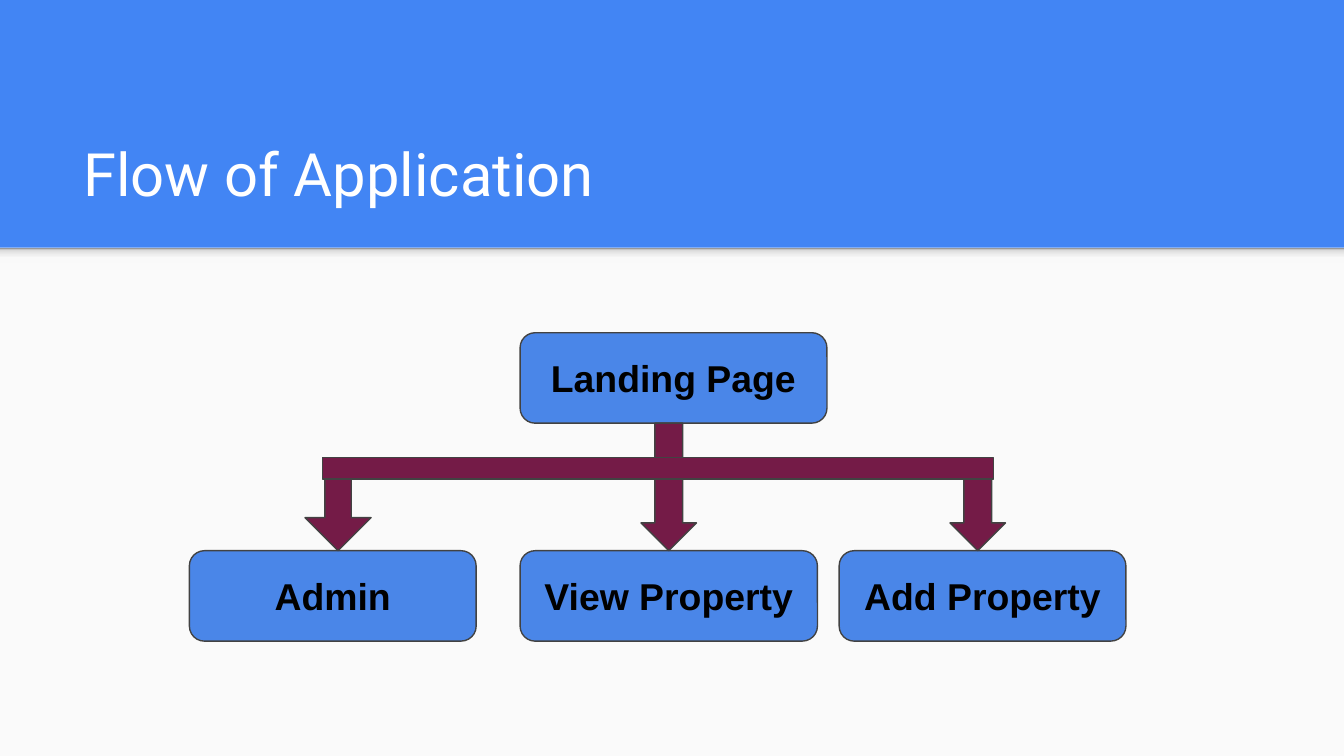
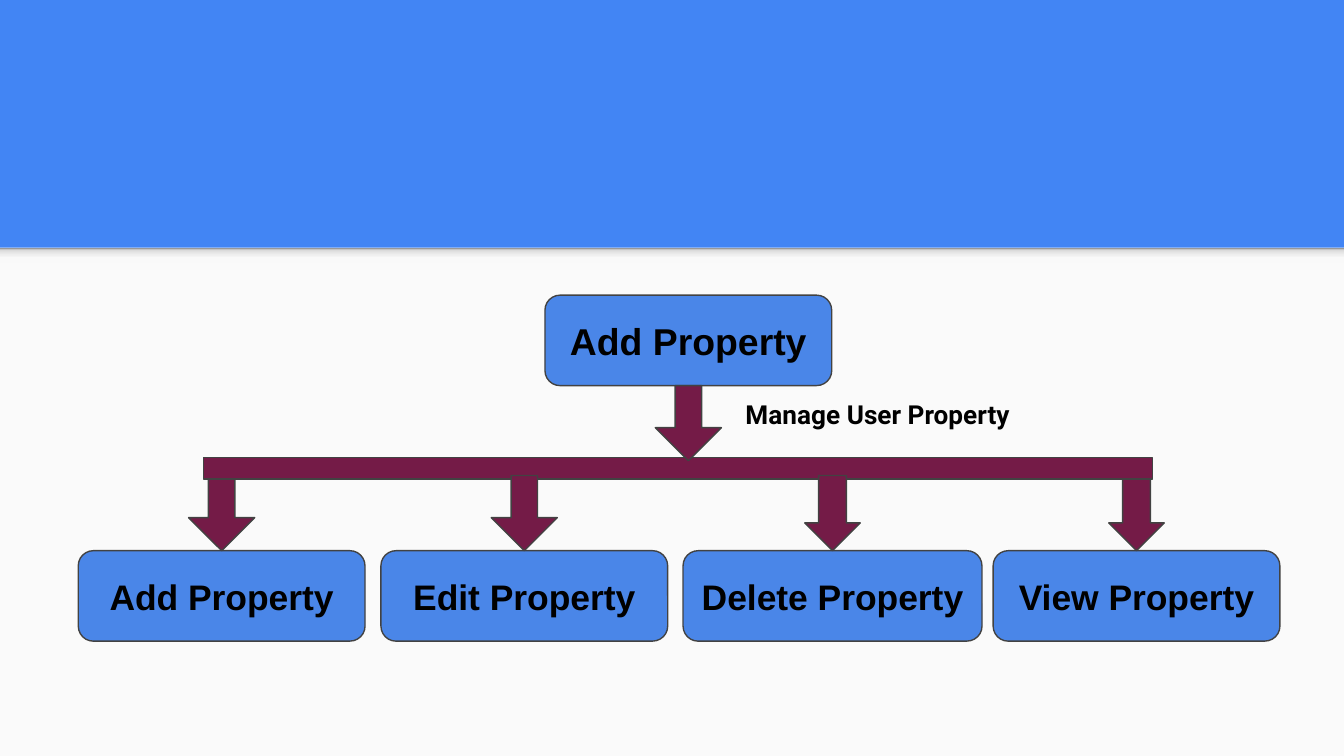
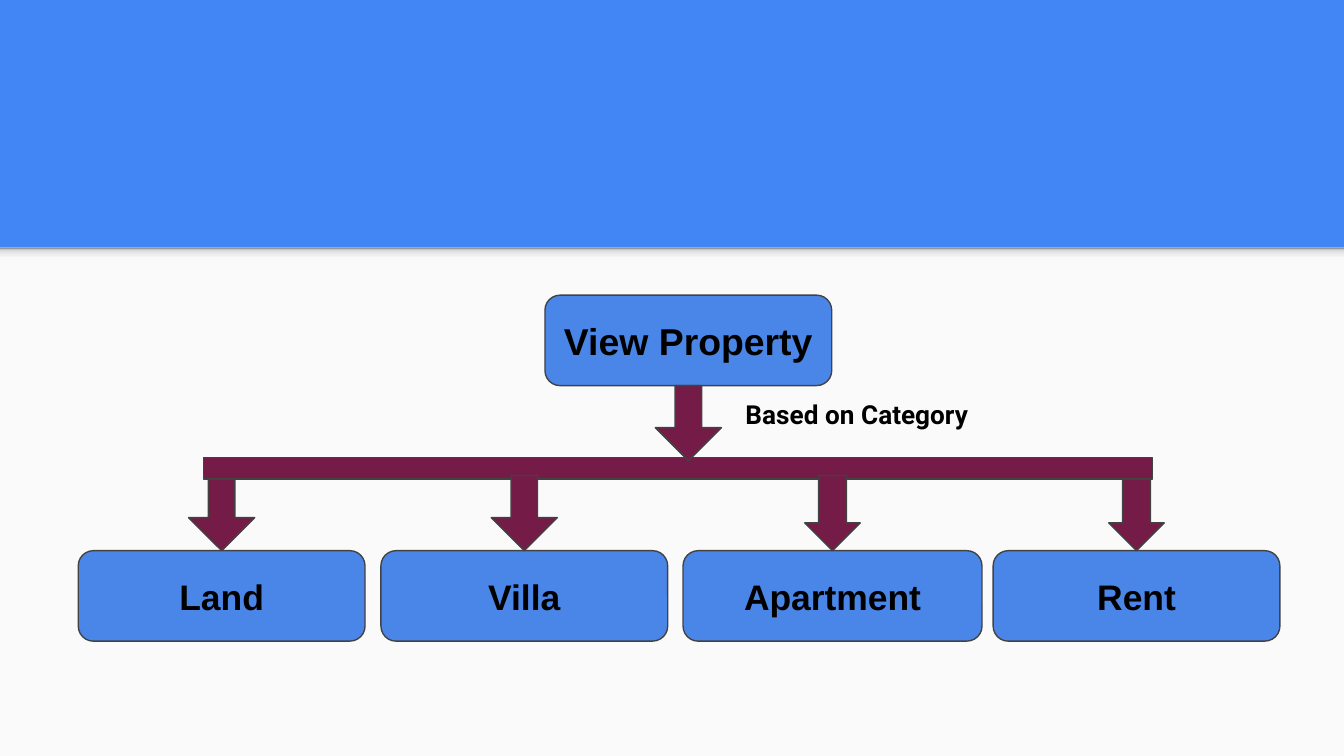
from lxml import etree
from pptx import Presentation
from pptx.dml.color import RGBColor
from pptx.enum.shapes import MSO_SHAPE
from pptx.enum.text import MSO_ANCHOR, PP_ALIGN
from pptx.oxml.ns import qn
from pptx.util import Cm, Pt

RECTANGLE = MSO_SHAPE.RECTANGLE
ROUNDED = MSO_SHAPE.ROUNDED_RECTANGLE
DOWN_ARROW = MSO_SHAPE.DOWN_ARROW
MINUS = MSO_SHAPE.MATH_MINUS
MIDDLE = MSO_ANCHOR.MIDDLE
BOTTOM = MSO_ANCHOR.BOTTOM
CENTER = PP_ALIGN.CENTER
LEFT = PP_ALIGN.LEFT

COLORS = {
    "header": "4285F4",
    "panel": "FAFAFA",
    "box": "4A86E8",
    "arrow": "741B47",
    "outline": "424242",
    "title": "FFFFFF",
    "text": "000000",
}
SHADE_STOPS = [(0, "F9F9F9"), (36, "F9F9F9"), (80, "DEDEDE"), (100, "999999")]

SLIDE_WIDTH = 25.4
SLIDE_HEIGHT = 14.29
PANEL_TOP = 4.68
BOX_HEIGHT = 1.71
BOX_WIDTH = 5.42
CHILD_TOP = 10.41
BAR_TOP = 8
BRANCH_TOP = 8.99
BRANCH_HEIGHT = CHILD_TOP - BRANCH_TOP
WIDE_ARROW = (1.25, 0.4)
NARROW_ARROW = (1.05, 0.5)

PAGE_CHILDREN = [
    ("Admin", 3.58, BOX_WIDTH),
    ("View Property", 9.83, 5.62),
    ("Add Property", 15.86, BOX_WIDTH),
]
CATEGORY_COLUMNS = [
    (1.48, BOX_WIDTH, WIDE_ARROW),
    (7.2, BOX_WIDTH, WIDE_ARROW),
    (12.91, 5.65, NARROW_ARROW),
    (18.77, BOX_WIDTH, NARROW_ARROW),
]


def rgb(name):
    return RGBColor.from_string(COLORS[name])


def add_filled_shape(slide, kind, left, top, width, height, fill, outlined=True):
    shape = slide.shapes.add_shape(kind, Cm(left), Cm(top), Cm(width), Cm(height))
    shape.shadow.inherit = False
    shape.fill.solid()
    shape.fill.fore_color.rgb = rgb(fill)
    if outlined:
        shape.line.color.rgb = rgb("outline")
        shape.line.width = Pt(0.75)
    else:
        shape.line.fill.background()
    return shape


def write_text(shape, text, size, font_name, color="text", bold=True,
               alignment=CENTER, anchor=MIDDLE):
    frame = shape.text_frame
    frame.word_wrap = True
    frame.vertical_anchor = anchor
    frame.margin_left = frame.margin_right = Cm(0.25)
    frame.margin_top = frame.margin_bottom = Cm(0.25)
    frame.text = text
    paragraph = frame.paragraphs[0]
    paragraph.alignment = alignment
    paragraph.font.size = Pt(size)
    paragraph.font.name = font_name
    paragraph.font.bold = bold
    paragraph.font.color.rgb = rgb(color)


def add_panel(slide):
    add_filled_shape(slide, RECTANGLE, 0, PANEL_TOP, SLIDE_WIDTH,
                     SLIDE_HEIGHT - PANEL_TOP, "panel", outlined=False)
    shade = add_filled_shape(slide, RECTANGLE, 0, PANEL_TOP, SLIDE_WIDTH, 0.3,
                             "panel", outlined=False)
    shade.fill.gradient()
    shade.fill.gradient_angle = 90
    stop_list = shade._element.spPr.find(qn("a:gradFill")).find(qn("a:gsLst"))
    for stop in list(stop_list):
        stop_list.remove(stop)
    for percent, color in SHADE_STOPS:
        stop = etree.SubElement(stop_list, qn("a:gs"), pos=str(percent * 1000))
        etree.SubElement(stop, qn("a:srgbClr"), val=color)


def add_box(slide, text, left, top, width, size=20):
    box = add_filled_shape(slide, ROUNDED, left, top, width, BOX_HEIGHT, "box")
    write_text(box, text, size, "Arial")


def add_arrow(slide, center, top, height, style):
    width, shaft = style
    arrow = add_filled_shape(slide, DOWN_ARROW, center - width / 2, top,
                             width, height, "arrow")
    arrow.adjustments[0] = shaft
    arrow.adjustments[1] = 0.5


def add_bar(slide, left, width):
    bar = add_filled_shape(slide, MINUS, left, BAR_TOP, width, BOX_HEIGHT, "arrow")
    bar.adjustments[0] = 0.235


def add_title(slide, text):
    title = slide.shapes.title
    title.left, title.top = Cm(1.32), Cm(2.06)
    title.width, title.height = Cm(22.83), Cm(2.13)
    write_text(title, text, 32, "Roboto", "title", bold=False,
               alignment=LEFT, anchor=BOTTOM)


def add_label(slide, text, left, top):
    label = slide.shapes.add_textbox(Cm(left), Cm(top), Cm(5.64), Cm(1.12))
    write_text(label, text, 14, "Roboto", alignment=LEFT, anchor=MSO_ANCHOR.TOP)


def add_flow_slide(presentation):
    slide = presentation.slides.add_slide(presentation.slide_layouts[5])
    add_panel(slide)
    add_title(slide, "Flow of Application")
    add_box(slide, "Landing Page", 9.83, 6.29, 5.8)
    for text, left, width in PAGE_CHILDREN:
        add_box(slide, text, left, CHILD_TOP, width)
    add_arrow(slide, 12.64, BAR_TOP, CHILD_TOP - BAR_TOP, NARROW_ARROW)
    add_arrow(slide, 6.39, BRANCH_TOP, BRANCH_HEIGHT, WIDE_ARROW)
    add_arrow(slide, 18.48, BRANCH_TOP, BRANCH_HEIGHT, NARROW_ARROW)
    add_bar(slide, 3.81, 17.25)


def add_branch_slide(presentation, parent, label, children):
    slide = presentation.slides.add_slide(presentation.slide_layouts[6])
    add_panel(slide)
    add_box(slide, parent, 10.3, 5.58, BOX_WIDTH)
    branches = []
    for text, (left, width, style) in zip(children, CATEGORY_COLUMNS):
        add_box(slide, text, left, CHILD_TOP, width, size=19)
        branches.append((left + width / 2, BRANCH_TOP, BRANCH_HEIGHT, style))
    for branch in (branches[0], branches[-1]):
        add_arrow(slide, *branch)
    add_bar(slide, 0.61, 24.41)
    for branch in branches[1:-1]:
        add_arrow(slide, *branch)
    add_arrow(slide, 13.01, 7.29, BRANCH_HEIGHT, WIDE_ARROW)
    add_label(slide, label, 13.84, 7.29)


def main():
    presentation = Presentation()
    presentation.slide_width = Cm(SLIDE_WIDTH)
    presentation.slide_height = Cm(SLIDE_HEIGHT)
    background = presentation.slide_master.background.fill
    background.solid()
    background.fore_color.rgb = rgb("header")
    add_flow_slide(presentation)
    add_branch_slide(presentation, "Add Property", "Manage User Property",
                     ["Add Property", "Edit Property", "Delete Property", "View Property"])
    add_branch_slide(presentation, "View Property", "Based on Category",
                     ["Land", "Villa", "Apartment", "Rent"])
    presentation.save("out.pptx")


if __name__ == "__main__":
    main()
